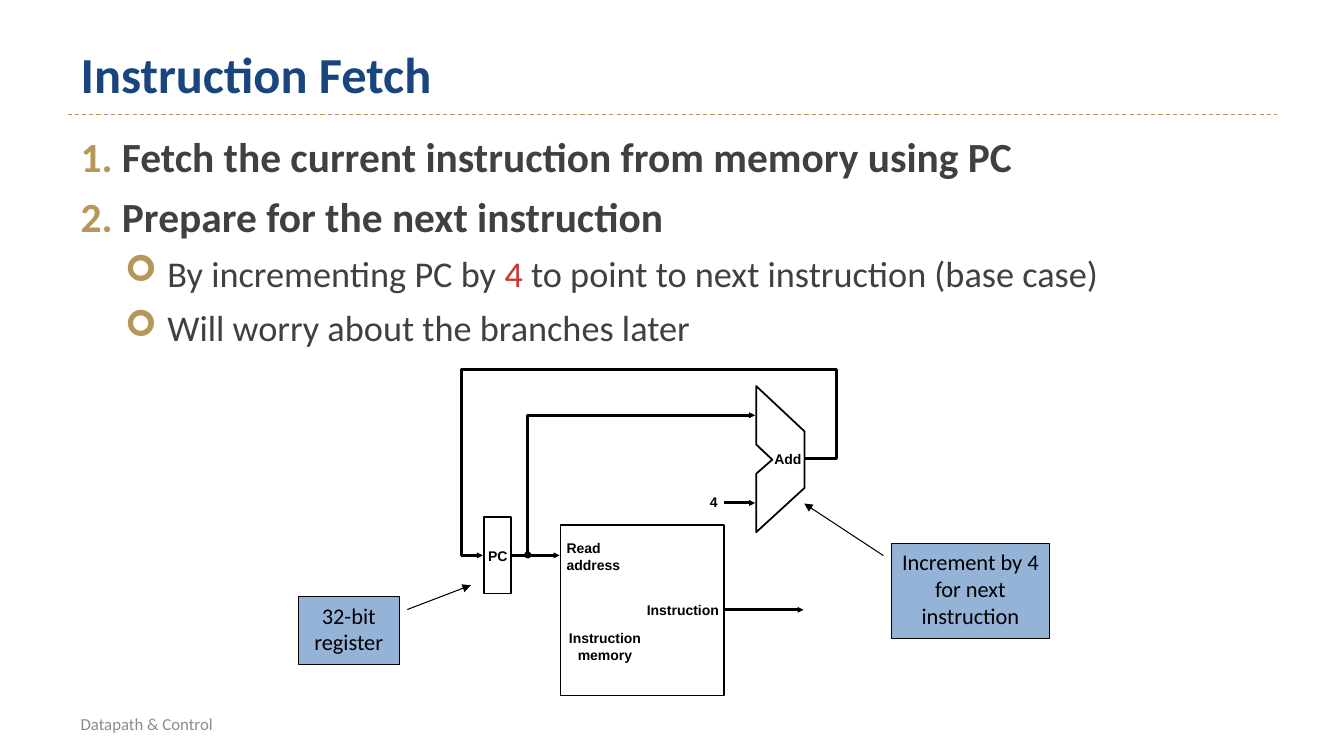
from lxml.etree import SubElement
from pptx import Presentation
from pptx.dml.color import RGBColor
from pptx.enum.dml import MSO_LINE
from pptx.enum.shapes import MSO_CONNECTOR, MSO_SHAPE
from pptx.enum.text import MSO_ANCHOR, PP_ALIGN
from pptx.oxml.ns import qn
from pptx.util import Inches, Pt

COLORS = {
    "title": "18457D", "body": "404040", "gold": "B49759", "red": "CD3333",
    "footer": "8C8C8C", "ink": "000000", "paper": "FFFFFF", "callout": "95B3D7",
}


class Sketch:
    text_font = "Calibri"
    label_font = "Arial"
    outline = 1.25
    wire_width = 2.13

    def __init__(self, slide):
        self.shapes = slide.shapes

    def color(self, name):
        return RGBColor.from_string(COLORS[name])

    def paint(self, shape, fill=None, line=None, width=outline):
        shape.shadow.inherit = False
        if fill:
            shape.fill.solid()
            shape.fill.fore_color.rgb = self.color(fill)
        else:
            shape.fill.background()
        if line:
            shape.line.color.rgb = self.color(line)
            shape.line.width = Pt(width)
        else:
            shape.line.fill.background()

    def arrowhead(self, shape, size):
        SubElement(shape.line._get_or_add_ln(), qn("a:tailEnd"),
                   type="triangle", w=size, len=size)

    def style(self, paragraph, size, color, bold=False, font=text_font):
        paragraph.font.size = Pt(size)
        paragraph.font.name = font
        paragraph.font.bold = bold
        paragraph.font.color.rgb = self.color(color)

    def frame(self, box, insets, anchor=MSO_ANCHOR.TOP, wrap=True):
        frame = self.shapes.add_textbox(*map(Inches, box)).text_frame
        frame.word_wrap = wrap
        frame.vertical_anchor = anchor
        (frame.margin_left, frame.margin_top,
         frame.margin_right, frame.margin_bottom) = map(Inches, insets)
        return frame

    def line_of_text(self, text, box, size, color, bold=False):
        frame = self.frame(box, (0.13, 0.07, 0.13, 0.07), MSO_ANCHOR.MIDDLE)
        frame.text = text
        self.style(frame.paragraphs[0], size, color, bold)

    def outline_list(self, box, items):
        frame = self.frame(box, (0.13, 0.07, 0.13, 0.08))
        for index, (level, runs) in enumerate(items):
            item = frame.paragraphs[0] if index == 0 else frame.add_paragraph()
            item.level = level
            item.space_before = Pt(5.5 if index else 0)
            item.space_after = Pt(2)
            margin, hanging = [(0.41, 0.41), (0.86, 0.42)][level]
            props = item._p.get_or_add_pPr()
            props.set("marL", str(Inches(margin)))
            props.set("indent", str(-Inches(hanging)))
            bullet_color = SubElement(props, qn("a:buClr"))
            SubElement(bullet_color, qn("a:srgbClr"), val=COLORS["gold"])
            if level:
                SubElement(props, qn("a:buFont"), typeface="Wingdings")
                SubElement(props, qn("a:buChar"), char="➢")
            else:
                SubElement(props, qn("a:buAutoNum"), type="arabicPeriod")
            self.style(item, 25.9 if level else 29.6, "body", bold=not level)
            for text, color in runs:
                run = item.add_run()
                run.text = text
                if color != "body":
                    run.font.color.rgb = self.color(color)

    def label(self, text, left, top, width, align=PP_ALIGN.LEFT):
        lines = text.split("\n")
        frame = self.frame((left, top, width, 0.17 * len(lines)),
                           (0, 0, 0, 0), wrap=False)
        frame.text = text
        for paragraph in frame.paragraphs:
            paragraph.alignment = align
            self.style(paragraph, 10, "ink", True, self.label_font)

    def block(self, kind, box, fill=None, line="ink"):
        self.paint(self.shapes.add_shape(kind, *map(Inches, box)), fill, line)

    def freeform(self, points, closed):
        corners = [(Inches(x), Inches(y)) for x, y in points]
        builder = self.shapes.build_freeform(*corners[0])
        builder.add_line_segments(corners[1:], close=closed)
        return builder.convert_to_shape()

    def polygon(self, points):
        self.paint(self.freeform(points, True), "paper", "ink")

    def straight(self, start, end, color, width):
        line = self.shapes.add_connector(
            MSO_CONNECTOR.STRAIGHT, *map(Inches, (*start, *end)))
        SubElement(line._element.spPr, qn("a:effectLst"))
        line.line.color.rgb = self.color(color)
        line.line.width = Pt(width)
        return line

    def wire(self, *points):
        if len(points) == 2:
            wire = self.straight(*points, "ink", self.wire_width)
        else:
            wire = self.freeform(points, False)
            self.paint(wire, None, "ink", self.wire_width)
        self.arrowhead(wire, "sm")

    def callout(self, text, box, leader):
        note = self.shapes.add_shape(MSO_SHAPE.LINE_CALLOUT_1, *map(Inches, box))
        for index, value in enumerate(leader):
            note.adjustments[index] = value
        self.paint(note, "callout", "ink", 0.75)
        self.arrowhead(note, "med")
        note.text_frame.word_wrap = True
        note.text_frame.vertical_anchor = MSO_ANCHOR.TOP
        note.text_frame.text = text
        paragraph = note.text_frame.paragraphs[0]
        paragraph.alignment = PP_ALIGN.CENTER
        self.style(paragraph, 16, "ink")


def main():
    deck = Presentation()
    deck.slide_width, deck.slide_height = Inches(13.33), Inches(7.5)
    sketch = Sketch(deck.slides.add_slide(deck.slide_layouts[6]))

    divider = sketch.straight((0.67, 1.14), (12.67, 1.14), "gold", 0.75)
    divider.line.dash_style = MSO_LINE.DASH
    sketch.line_of_text("Datapath & Control", (0.67, 7.06, 1.83, 0.24), 12, "footer")
    sketch.line_of_text("Instruction Fetch", (0.67, 0.29, 12, 0.87), 36, "title", True)
    sketch.outline_list((0.67, 1.23, 12, 2.19), [
        (0, [("Fetch the current instruction from memory using PC", "body")]),
        (0, [("Prepare for the next instruction", "body")]),
        (1, [("By incrementing PC by ", "body"), ("4 ", "red"),
             ("to point to next instruction (base case)", "body")]),
        (1, [("Will worry about the branches later", "body")]),
    ])

    pc_level = 5.51
    sketch.block(MSO_SHAPE.RECTANGLE, (4.8, 5.13, 0.27, 0.76))
    sketch.block(MSO_SHAPE.RECTANGLE, (5.56, 5.21, 1.62, 1.69), "paper")
    sketch.wire((5.23, pc_level), (5.23, 4.12), (7.49, 4.12))
    sketch.wire((7.18, 4.99), (7.49, 4.99))
    sketch.wire((5.07, pc_level), (5.55, pc_level))
    sketch.wire((7.98, 4.55), (8.3, 4.55), (8.3, 3.67), (4.58, 3.67),
                (4.58, pc_level), (4.79, pc_level))
    sketch.wire((7.18, 6.05), (7.97, 6.05))
    sketch.block(MSO_SHAPE.OVAL, (5.2, 5.47, 0.07, 0.07), "ink", None)
    sketch.polygon([(7.5, 3.83), (7.5, 4.41), (7.66, 4.56), (7.5, 4.7),
                    (7.5, 5.28), (7.98, 4.84), (7.98, 4.28)])

    sketch.label("PC", 4.84, 5.43, 0.22)
    sketch.label("Read\naddress", 5.62, 5.35, 0.65)
    sketch.label("Instruction", 6.33, 5.97, 0.8, PP_ALIGN.RIGHT)
    sketch.label("Instruction\nmemory", 5.6, 6.25, 0.8, PP_ALIGN.CENTER)
    sketch.label("4", 7.04, 4.9, 0.1)
    sketch.label("Add", 7.68, 4.47, 0.3)

    sketch.callout("Increment by 4 for next instruction",
                   (8.84, 5.39, 1.57, 0.94), (0.13, -0.05, -0.42, -0.55))
    sketch.callout("32-bit register",
                   (2.96, 5.92, 1, 0.67), (0.19, 1.08, -0.17, 1.71))

    deck.save("out.pptx")


if __name__ == "__main__":
    main()
